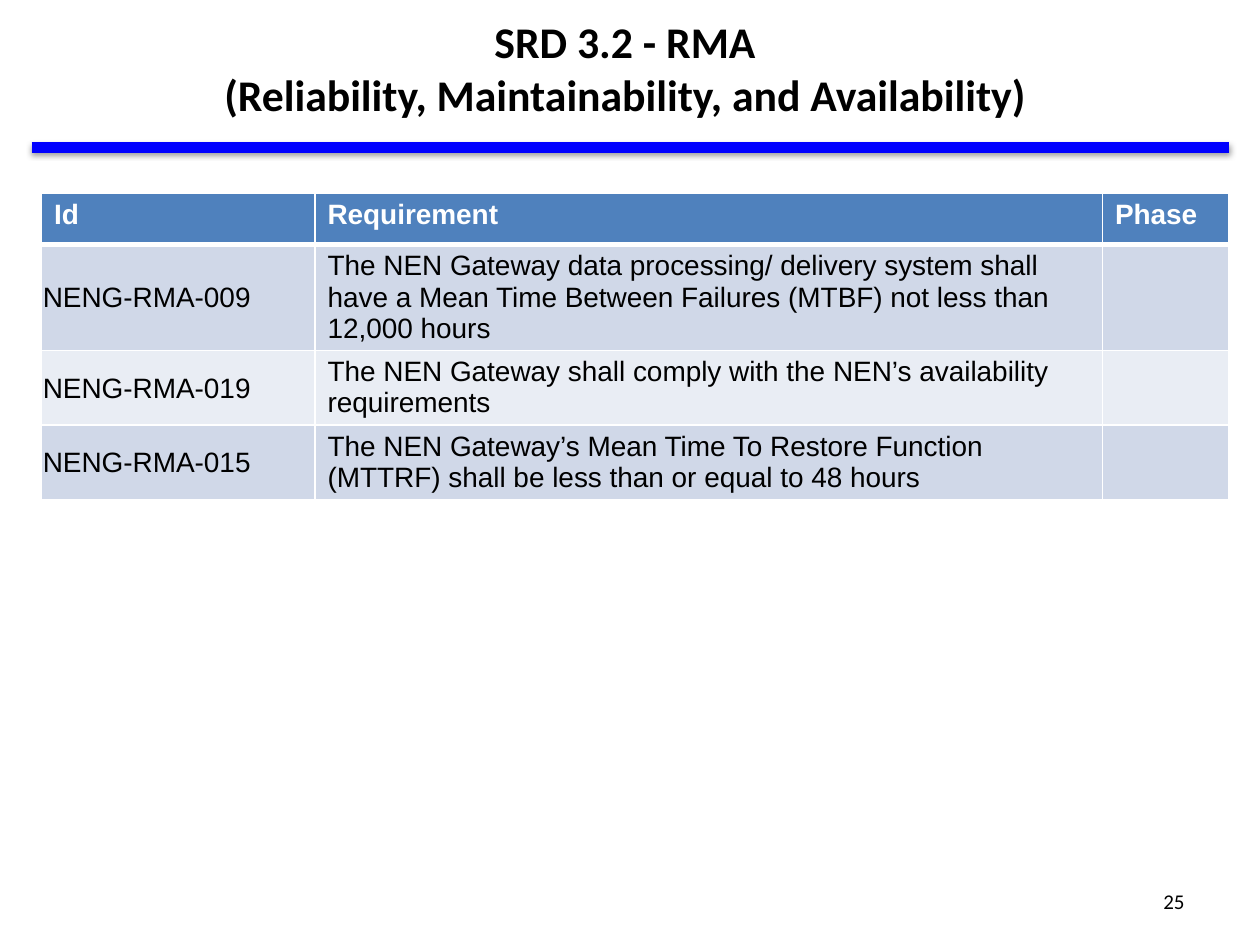
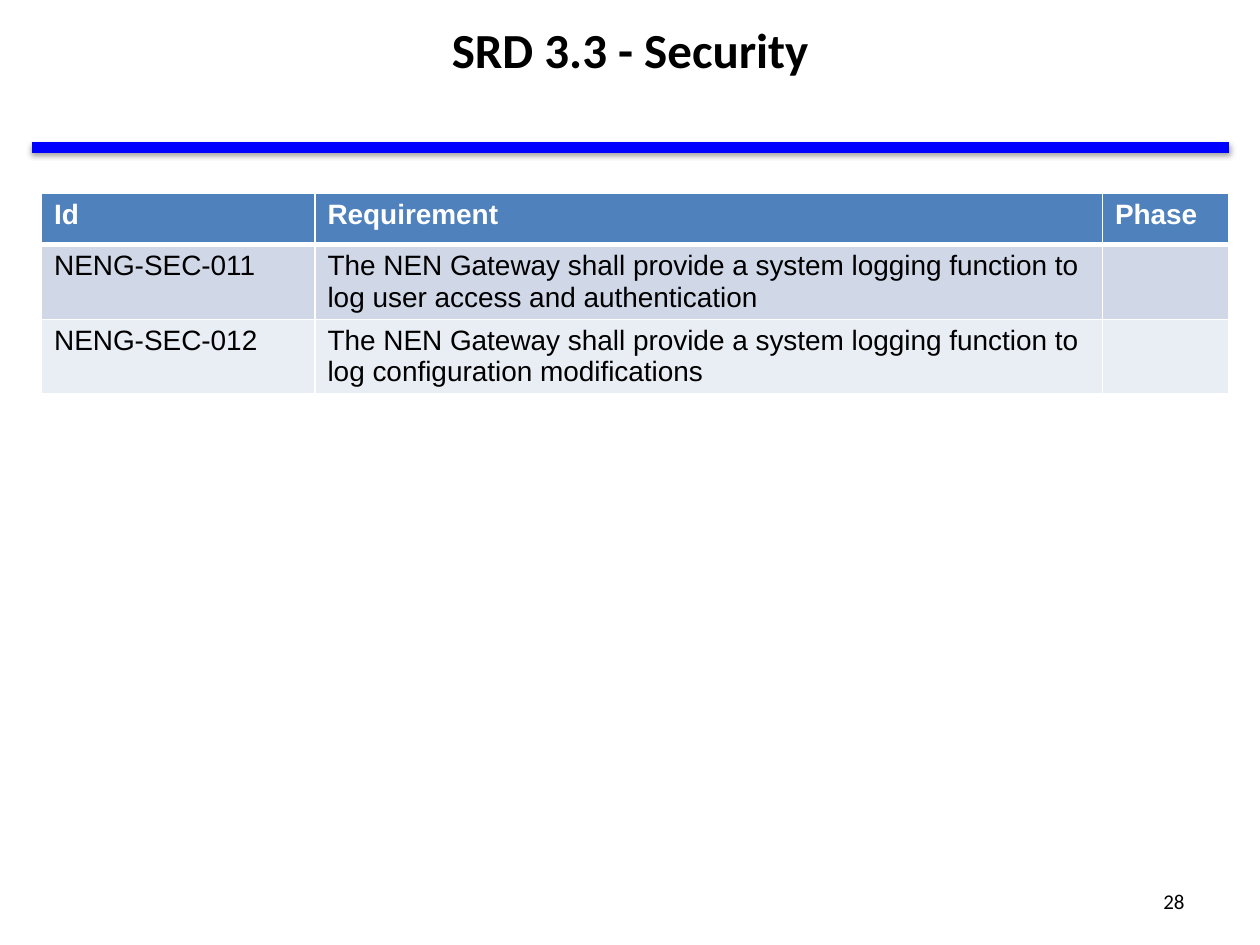
"""Build the two requirement slides (reliability and security) of the gateway review."""
from dataclasses import dataclass

from lxml.etree import SubElement
from pptx import Presentation
from pptx.dml.color import RGBColor
from pptx.enum.shapes import MSO_CONNECTOR
from pptx.enum.text import MSO_ANCHOR, MSO_AUTO_SIZE, PP_ALIGN
from pptx.oxml.ns import qn
from pptx.util import Inches, Pt

HEADINGS = ("Id", "Requirement", "Phase")
SLIDES = [
    {
        "title": "SRD 3.2 - RMA\n(Reliability, Maintainability, and Availability)",
        "title_box": (1.42, 0.24, 7.08, 0.59),
        "title_size": 25,
        "number": "25",
        "tight_ids": True,
        "requirements": [
            ("NENG-RMA-009", "The NEN Gateway data processing/ delivery system shall have a "
                             "Mean Time Between Failures (MTBF) not less than 12,000 hours", 3),
            ("NENG-RMA-019", "The NEN Gateway shall comply with the NEN’s availability "
                             "requirements", 2),
            ("NENG-RMA-015", "The NEN Gateway’s Mean Time To Restore Function (MTTRF) shall "
                             "be less than or equal to 48 hours", 2),
        ],
    },
    {
        "title": "SRD 3.3 - Security",
        "title_box": (2.04, 0.09, 5.92, 0.59),
        "title_size": 28,
        "number": "28",
        "tight_ids": False,
        "requirements": [
            ("NENG-SEC-011", "The NEN Gateway shall provide a system logging function to log "
                             "user access and authentication", 2),
            ("NENG-SEC-012", "The NEN Gateway shall provide a system logging function to log "
                             "configuration modifications", 2),
        ],
    },
]

TABLE_LEFT, TABLE_TOP = 0.33, 1.53
COLUMN_WIDTHS = (2.17, 6.25, 1)
HEADING_HEIGHT = 0.41
LINE_HEIGHT, ROW_PADDING = 0.25, 0.09
NUMBER_BOX = (7.17, 6.95, 2.33, 0.4)
RULE_LEFT, RULE_RIGHT, RULE_TOP = 0.25, 9.75, 1.17


@dataclass(frozen=True)
class Theme:
    """Colours, fonts and sizes shared by the slides."""
    ink: str = "000000"
    paper: str = "FFFFFF"
    rule: str = "0000FF"
    heading: str = "4F81BD"
    bands: tuple = ("D0D8E8", "E9EDF4")
    display_font: str = "Calibri"
    table_font: str = "Arial"
    table_size: int = 16
    number_size: int = 12
    rule_width: int = 6
    border: int = 1
    heading_border: int = 3


THEME = Theme()


def write(frame, text, *, size, font, color=THEME.ink, bold=False, align=None, anchor=None):
    """Put text in a frame with one format throughout."""
    paragraph = frame.paragraphs[0]
    paragraph.text = text
    if align is not None:
        paragraph.alignment = align
    if anchor is not None:
        frame.vertical_anchor = anchor
    for line_break in paragraph._p.findall(qn("a:br")):
        SubElement(line_break, qn("a:rPr"), sz=str(size * 100))
    for run in paragraph.runs:
        run.font.size = Pt(size)
        run.font.name = font
        run.font.bold = bold
        run.font.color.rgb = RGBColor.from_string(color)


def add_title(slide, content):
    """Place and format the title placeholder."""
    title = slide.shapes.title
    title.left, title.top, title.width, title.height = map(Inches, content["title_box"])
    title.text_frame.word_wrap = True
    title.text_frame.auto_size = MSO_AUTO_SIZE.NONE
    write(title.text_frame, content["title"], size=content["title_size"],
          font=THEME.display_font, bold=True, align=PP_ALIGN.CENTER, anchor=MSO_ANCHOR.MIDDLE)


def add_rule(slide):
    """Draw the shadowed rule below the title."""
    rule = slide.shapes.add_connector(
        MSO_CONNECTOR.STRAIGHT, Inches(RULE_LEFT), Inches(RULE_TOP),
        Inches(RULE_RIGHT), Inches(RULE_TOP))
    rule.line.color.rgb = RGBColor.from_string(THEME.rule)
    rule.line.width = Pt(THEME.rule_width)
    effects = SubElement(rule._element.spPr, qn("a:effectLst"))
    shadow = SubElement(effects, qn("a:outerShdw"), blurRad=str(Pt(3.1)), dist=str(Pt(1.6)),
                        dir="5400000", rotWithShape="0")
    shade = SubElement(shadow, qn("a:srgbClr"), val=THEME.ink)
    SubElement(shade, qn("a:alpha"), val="38000")


def style_cell(cell, fill, top, bottom):
    """Give a cell its borders and fill."""
    properties = cell._tc.get_or_add_tcPr()
    widths = {"lnL": THEME.border, "lnR": THEME.border, "lnT": top, "lnB": bottom}
    for side, width in widths.items():
        border = SubElement(properties, qn(f"a:{side}"), w=str(Pt(width)))
        paint = SubElement(border, qn("a:solidFill"))
        SubElement(paint, qn("a:srgbClr"), val=THEME.paper)
    cell.fill.solid()
    cell.fill.fore_color.rgb = RGBColor.from_string(fill)


def add_requirements(slide, requirements, tight_ids):
    """Tabulate the requirements below a heading row."""
    rows = [HEADINGS] + [(key, requirement, "") for key, requirement, _ in requirements]
    heights = [HEADING_HEIGHT] + [
        ROW_PADDING + LINE_HEIGHT * lines for _, _, lines in requirements]
    table = slide.shapes.add_table(
        len(rows), len(HEADINGS), Inches(TABLE_LEFT), Inches(TABLE_TOP),
        Inches(sum(COLUMN_WIDTHS)), Inches(sum(heights))).table
    for column, width in zip(table.columns, COLUMN_WIDTHS):
        column.width = Inches(width)
    for index, (row, values, height) in enumerate(zip(table.rows, rows, heights)):
        row.height = Inches(height)
        is_heading = index == 0
        fill = THEME.heading if is_heading else THEME.bands[(index - 1) % 2]
        top = THEME.heading_border if index == 1 else THEME.border
        bottom = THEME.heading_border if is_heading else THEME.border
        for cell, value in zip(row.cells, values):
            style_cell(cell, fill, top, bottom)
            if value:
                write(cell.text_frame, value, size=THEME.table_size, font=THEME.table_font,
                      color=THEME.paper if is_heading else THEME.ink, bold=is_heading)
        if tight_ids and not is_heading:
            key_cell = row.cells[0]
            key_cell.vertical_anchor = MSO_ANCHOR.MIDDLE
            key_cell.margin_left = key_cell.margin_right = key_cell.margin_top = Inches(0.01)
            key_cell.margin_bottom = 0


def add_number(slide, number):
    """Write the slide number at the lower right."""
    frame = slide.shapes.add_textbox(*map(Inches, NUMBER_BOX)).text_frame
    frame.word_wrap = True
    write(frame, number, size=THEME.number_size, font=THEME.display_font,
          align=PP_ALIGN.RIGHT, anchor=MSO_ANCHOR.MIDDLE)


def main():
    """Build and save the presentation."""
    presentation = Presentation()
    presentation.slide_width, presentation.slide_height = Inches(10), Inches(7.5)
    title_only = presentation.slide_layouts[5]
    for content in SLIDES:
        slide = presentation.slides.add_slide(title_only)
        add_rule(slide)
        add_title(slide, content)
        add_requirements(slide, content["requirements"], content["tight_ids"])
        add_number(slide, content["number"])
    presentation.save("out.pptx")


if __name__ == "__main__":
    main()
